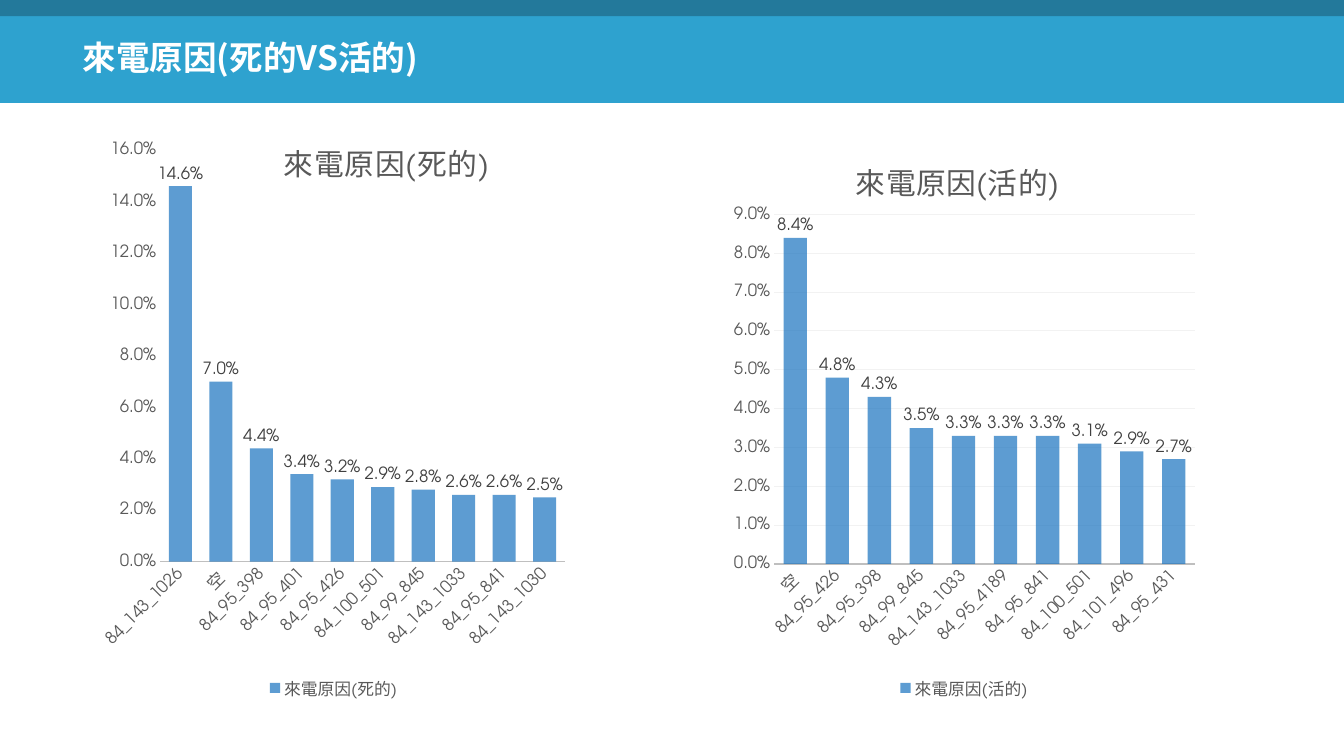
from lxml import etree
from pptx import Presentation
from pptx.chart.data import CategoryChartData
from pptx.dml.color import RGBColor
from pptx.enum.chart import XL_CHART_TYPE, XL_LABEL_POSITION, XL_LEGEND_POSITION, XL_TICK_MARK
from pptx.enum.shapes import MSO_SHAPE
from pptx.enum.text import MSO_ANCHOR, PP_ALIGN
from pptx.oxml.ns import qn
from pptx.util import Pt

COLUMN = XL_CHART_TYPE.COLUMN_CLUSTERED
OUTSIDE_END = XL_LABEL_POSITION.OUTSIDE_END
LEGEND_BOTTOM = XL_LEGEND_POSITION.BOTTOM
NO_TICK = XL_TICK_MARK.NONE
RECTANGLE = MSO_SHAPE.RECTANGLE
MIDDLE = MSO_ANCHOR.MIDDLE
CENTER = PP_ALIGN.CENTER

BAND_BLUE = RGBColor(0x2E, 0xA2, 0xCF)
STRIP_BLUE = RGBColor(0x23, 0x79, 0x9B)
BAR_BLUE = RGBColor(0x19, 0x73, 0xBF)
WHITE = RGBColor(0xFF, 0xFF, 0xFF)
BLACK = RGBColor(0x00, 0x00, 0x00)
TEXT_GRAY = RGBColor(0x59, 0x59, 0x59)
LABEL_GRAY = RGBColor(0x40, 0x40, 0x40)
AXIS_GRAY = RGBColor(0xBF, 0xBF, 0xBF)
GRID_GRAY = RGBColor(0xF2, 0xF2, 0xF2)

CJK_FONT = "Noto Sans CJK SC"
LATIN_FONT = "TeX Gyre Adventor"
PERCENT = "0.0%"


def style_font(font, size, color, name=LATIN_FONT):
    font.size = Pt(size)
    font.name = name
    font.color.rgb = color
    font.bold = False


def set_layout(parent, **settings):
    """Place a chart part by fractions of the chart frame."""
    layout = parent.get_or_add_layout() if hasattr(parent, "get_or_add_layout") else parent.find(qn("c:layout"))
    if layout is None:
        layout = etree.Element(qn("c:layout"))
        parent.insert(0, layout)
    for child in list(layout):
        layout.remove(child)
    manual = etree.SubElement(layout, qn("c:manualLayout"))
    for tag, value in settings.items():
        etree.SubElement(manual, qn("c:" + tag)).set("val", str(value))


presentation = Presentation()
presentation.slide_width = Pt(960)
presentation.slide_height = Pt(540)
slide = presentation.slides.add_slide(presentation.slide_layouts[6])

# Header bands
for height, color in [(73.44, BAND_BLUE), (11.52, STRIP_BLUE)]:
    band = slide.shapes.add_shape(RECTANGLE, 0, 0, Pt(960), Pt(height))
    band.shadow.inherit = False
    band.fill.solid()
    band.fill.fore_color.rgb = color
    band.line.fill.background()

# Slide title
title_box = slide.shapes.add_textbox(Pt(51.84), Pt(20.16), Pt(417.6), Pt(41.76))
title_box.text_frame.word_wrap = True
title_box.text_frame.vertical_anchor = MIDDLE
title_run = title_box.text_frame.paragraphs[0].add_run()
title_run.text = "來電原因(死的VS活的)"
style_font(title_run.font, 24, WHITE, CJK_FONT)
title_run.font.bold = True
etree.SubElement(title_run.font._element, qn("a:ea")).set("typeface", CJK_FONT)

# Charts
charts = [
    {
        "name": "來電原因(死的)",
        "frame": (66.24, 95.04, 344.16, 408.24),
        "plot": (0.14, 0.03, 0.84, 0.72),
        "values": {
            "categories": ["84_143_1026", "空", "84_95_398", "84_95_401", "84_95_426",
                           "84_100_501", "84_99_845", "84_143_1033", "84_95_841", "84_143_1030"],
            "shares": [0.146, 0.07, 0.044, 0.034, 0.032, 0.029, 0.028, 0.026, 0.026, 0.025],
        },
        "scale": (0.16, 0.02), "gap": 75, "overlap": 0, "full": False,
    },
    {
        "name": "來電原因(活的)",
        "frame": (516.96, 90, 343.44, 413.28),
        "plot": (0.105, 0.153, 0.875, 0.604),
        "values": {
            "categories": ["空", "84_95_426", "84_95_398", "84_99_845", "84_143_1033",
                           "84_95_4189", "84_95_841", "84_100_501", "84_101_496", "84_95_431"],
            "shares": [0.084, 0.048, 0.043, 0.035, 0.033, 0.033, 0.033, 0.031, 0.029, 0.027],
        },
        "scale": (0.09, 0.01), "gap": 80, "overlap": 25, "full": True,
    },
]

for details in charts:
    chart_data = CategoryChartData(number_format=PERCENT)
    chart_data.categories = details["values"]["categories"]
    chart_data.add_series(details["name"], details["values"]["shares"])
    frame = [Pt(length) for length in details["frame"]]
    chart = slide.shapes.add_chart(COLUMN, *frame, chart_data).chart
    style_font(chart.font, 10, BLACK)

    # Bars and their labels
    plot = chart.plots[0]
    plot.vary_by_categories = False
    plot.gap_width = details["gap"]
    plot.overlap = details["overlap"]
    series = plot.series[0]
    series.format.fill.solid()
    series.format.fill.fore_color.rgb = BAR_BLUE
    bar_color = next(series._element.iter(qn("a:srgbClr")))
    etree.SubElement(bar_color, qn("a:alpha")).set("val", "70000")
    labels = series.data_labels
    labels.show_value = True
    labels.position = OUTSIDE_END
    labels.number_format = PERCENT
    labels.number_format_is_linked = False
    style_font(labels.font, 12, LABEL_GRAY)

    # Axes
    category_axis, value_axis = chart.category_axis, chart.value_axis
    for axis in (category_axis, value_axis):
        axis.major_tick_mark = NO_TICK
        axis.minor_tick_mark = NO_TICK
        style_font(axis.tick_labels.font, 12, TEXT_GRAY)
    category_axis.format.line.color.rgb = AXIS_GRAY
    category_axis.format.line.width = Pt(1.25)
    next(category_axis._element.iter(qn("a:bodyPr"))).set("rot", "-2700000")
    value_axis.format.line.fill.background()
    value_axis.minimum_scale = 0
    value_axis.maximum_scale, value_axis.major_unit = details["scale"]
    value_axis.tick_labels.number_format = PERCENT
    value_axis.tick_labels.number_format_is_linked = False
    value_axis.has_major_gridlines = details["full"]
    if details["full"]:
        grid_line = value_axis.major_gridlines.format.line
        grid_line.color.rgb = GRID_GRAY
        grid_line.width = Pt(0.75)

    # Legend
    chart.has_legend = True
    chart.legend.position = LEGEND_BOTTOM
    chart.legend.include_in_layout = False
    style_font(chart.legend.font, 12, TEXT_GRAY)

    # Plot area and heading
    left, top, width, height = details["plot"]
    set_layout(next(chart._chartSpace.iter(qn("c:plotArea"))), layoutTarget="inner",
               xMode="edge", yMode="edge", x=left, y=top, w=width, h=height)
    chart.has_title = details["full"]
    if details["full"]:
        heading = chart.chart_title.text_frame.paragraphs[0]
        chart.chart_title.include_in_layout = False
        set_layout(chart.chart_title._element, xMode="edge", yMode="edge", x=0.264, y=0.045)
    else:
        heading_box = slide.shapes.add_textbox(Pt(194.4), Pt(100.8), Pt(163.44), Pt(33.12))
        heading_box.text_frame.word_wrap = True
        heading = heading_box.text_frame.paragraphs[0]
    heading.alignment = CENTER
    heading_run = heading.add_run()
    heading_run.text = details["name"]
    style_font(heading_run.font, 21.3, TEXT_GRAY)
    heading_run.font._element.set("spc", "50")

presentation.save("out.pptx")
